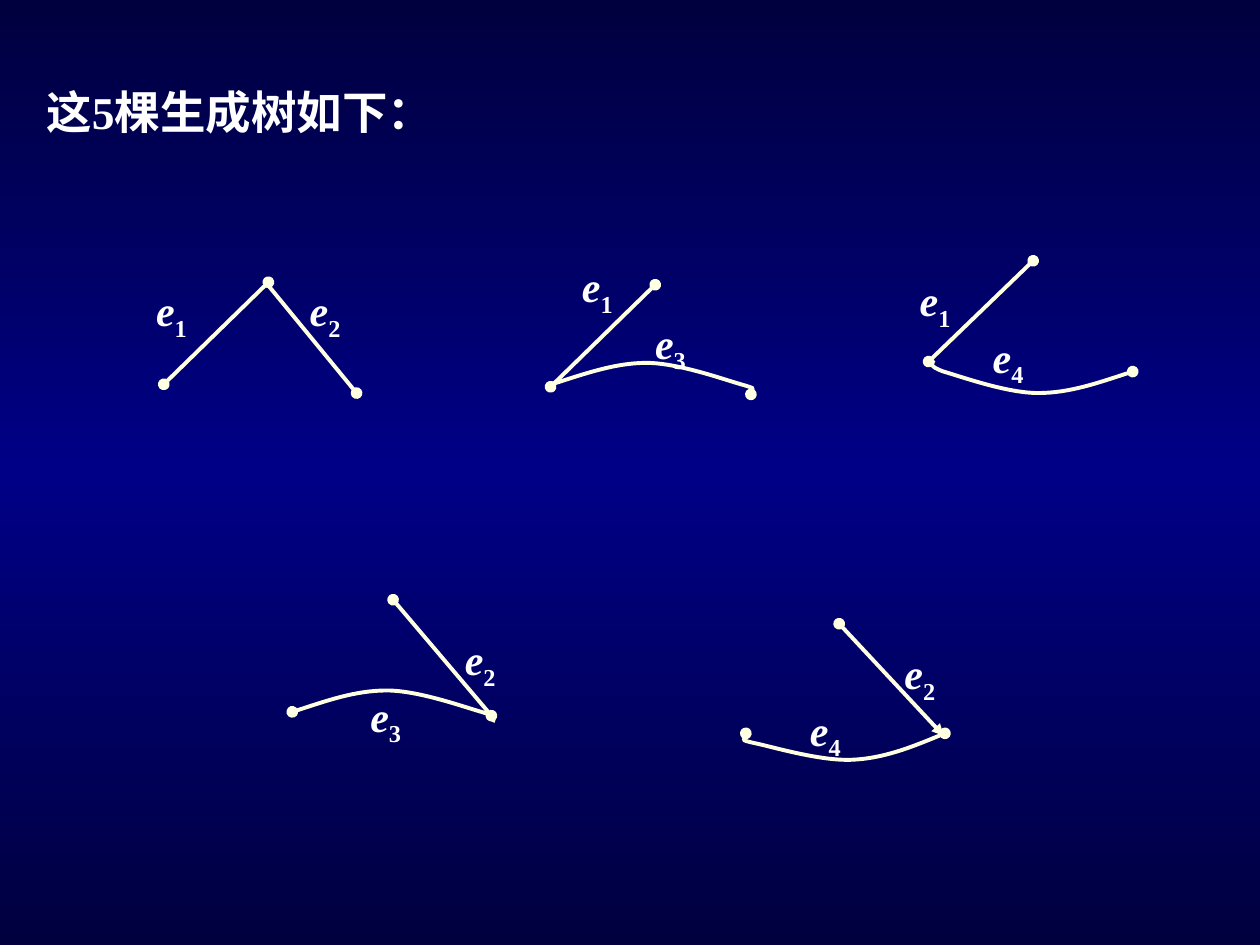
from copy import deepcopy

from pptx import Presentation
from pptx import util as u
from pptx.dml.color import RGBColor
from pptx.enum import shapes, text
from pptx.oxml import parse_xml
from pptx.oxml.ns import nsdecls, qn

FONT = "Times New Roman"
WHITE, CREAM = "FFFFFF", "FFFFE1"
BACKGROUND = [(0, "00003E"), (0.5, "000086"), (1, "00003E")]
TITLE = "这5棵生成树如下："

# line: (start, end, ends); curve: start point, then three points per Bezier segment
# ends: (head, tail); labels: (subscript, left, top)
TREES = [
    {"lines": [((1.3, 3.05), (2.13, 2.24), ("oval", "oval")),
               ((2.83, 3.12), (2.1, 2.23), ("oval", None))],
     "labels": [("1", 1.14, 2.21), ("2", 2.36, 2.21)]},
    {"lines": [((4.37, 3.07), (5.2, 2.26), ("oval", "oval"))],
     "curve": [(4.38, 3.05), (4.63, 2.97), (4.88, 2.88), (5.13, 2.88),
               (5.38, 2.88), (5.74, 3.01), (5.88, 3.05),
               (6.02, 3.09), (5.96, 3.12), (5.96, 3.13)],
     "curve_ends": (None, "oval"),
     "labels": [("1", 4.52, 2.02), ("3", 5.1, 2.47)]},
    {"lines": [((8.2, 2.07), (7.37, 2.87), ("oval", "oval"))],
     "curve": [(8.99, 2.95), (8.74, 3.03), (8.49, 3.12), (8.24, 3.12),
               (7.99, 3.12), (7.63, 2.99), (7.49, 2.95),
               (7.35, 2.9), (7.41, 2.88), (7.41, 2.86)],
     "curve_ends": ("oval", None),
     "labels": [("1", 7.2, 2.13), ("4", 7.78, 2.58)]},
    {"lines": [((3.9, 5.68), (3.12, 4.76), ("oval", "oval"))],
     "curve": [(2.32, 5.65), (2.57, 5.57), (2.82, 5.48), (3.07, 5.48),
               (3.32, 5.48), (3.68, 5.61), (3.82, 5.65),
               (3.96, 5.69), (3.91, 5.72), (3.91, 5.73)],
     "curve_ends": ("oval", None),
     "labels": [("2", 3.59, 4.98), ("3", 2.84, 5.43)]},
    {"lines": [((6.66, 4.95), (7.49, 5.84), ("oval", "triangle"))],
     "curve": [(7.5, 5.82), (7.26, 5.92), (7.01, 6.02), (6.76, 6.03),
               (6.51, 6.04), (6.14, 5.93), (6, 5.9),
               (5.86, 5.87), (5.92, 5.83), (5.92, 5.82)],
     "curve_ends": ("oval", "oval"),
     "labels": [("2", 7.08, 5.09), ("4", 6.33, 5.54)]},
]


def color(value):
    return RGBColor.from_string(value)


def paint_background(page):
    fill = page.background.fill
    fill.gradient()
    fill.gradient_angle = 90
    stop_list = next(page.element.iter(qn("a:gsLst")))
    stop_list.append(deepcopy(stop_list[0]))
    for stop, (position, value) in zip(fill.gradient_stops, BACKGROUND):
        stop.position = position
        stop.color.rgb = color(value)


def add_text(parent, spans, left, top, width, height, size=24):
    """Add one line of text; spans are (words, italic, subscript)."""
    box = parent.add_textbox(*map(u.Inches, (left, top, width, height)))
    box.text_frame.word_wrap = False
    box.text_frame.auto_size = text.MSO_AUTO_SIZE.SHAPE_TO_FIT_TEXT
    para = box.text_frame.paragraphs[0]
    for words, italic, subscript in spans:
        span = para.add_run()
        span.text = words
        font = span.font
        font.name, font.size = FONT, u.Pt(size)
        font.bold, font.italic = True, italic
        font.color.rgb = color(WHITE)
        if subscript:
            font._element.set("baseline", "-25000")


def style_edge(edge, ends):
    edge.line.color.rgb = color(CREAM)
    edge.line.width = u.Pt(2.25)
    outline = edge.line._get_or_add_ln()
    for tag, end in zip(("headEnd", "tailEnd"), ends):
        if end:
            outline.append(parse_xml(f'<a:{tag} {nsdecls("a")} type="{end}"/>'))


def add_line(parent, start, end, ends):
    edge = parent.add_connector(shapes.MSO_CONNECTOR.STRAIGHT,
                                *map(u.Inches, start + end))
    style_edge(edge, ends)
    edge._element.spPr.append(parse_xml(f'<a:effectLst {nsdecls("a")}/>'))


def add_curve(parent, points, ends):
    start, *others = [(u.Inches(x), u.Inches(y)) for x, y in points]
    builder = parent.build_freeform(*start)
    builder.add_line_segments(others, close=False)
    edge = builder.convert_to_shape()
    edge.fill.background()
    edge.shadow.inherit = False
    style_edge(edge, ends)
    # Every three straight steps become one Bezier segment
    outline = next(edge._element.iter(qn("a:path")))
    steps = outline.findall(qn("a:lnTo"))
    for first in range(0, len(steps), 3):
        bezier = parse_xml(f'<a:cubicBezTo {nsdecls("a")}/>')
        for step in steps[first:first + 3]:
            bezier.append(step[0])
            outline.remove(step)
        outline.append(bezier)


def main():
    deck = Presentation()
    deck.slide_width, deck.slide_height = u.Inches(10), u.Inches(7.5)
    page = deck.slides.add_slide(deck.slide_layouts[6])
    paint_background(page)
    add_text(page.shapes, [(TITLE, False, False)], 0.27, 0.62, 4.47, 0.54, size=26)

    for tree in TREES:
        group = page.shapes.add_group_shape().shapes
        for start, end, ends in tree["lines"]:
            add_line(group, start, end, ends)
        if "curve" in tree:
            add_curve(group, tree["curve"], tree["curve_ends"])
        for subscript, left, top in tree["labels"]:
            add_text(group, [("e", True, False), (subscript, False, True)],
                     left, top, 0.45, 0.56)

    deck.save("out.pptx")


if __name__ == "__main__":
    main()
